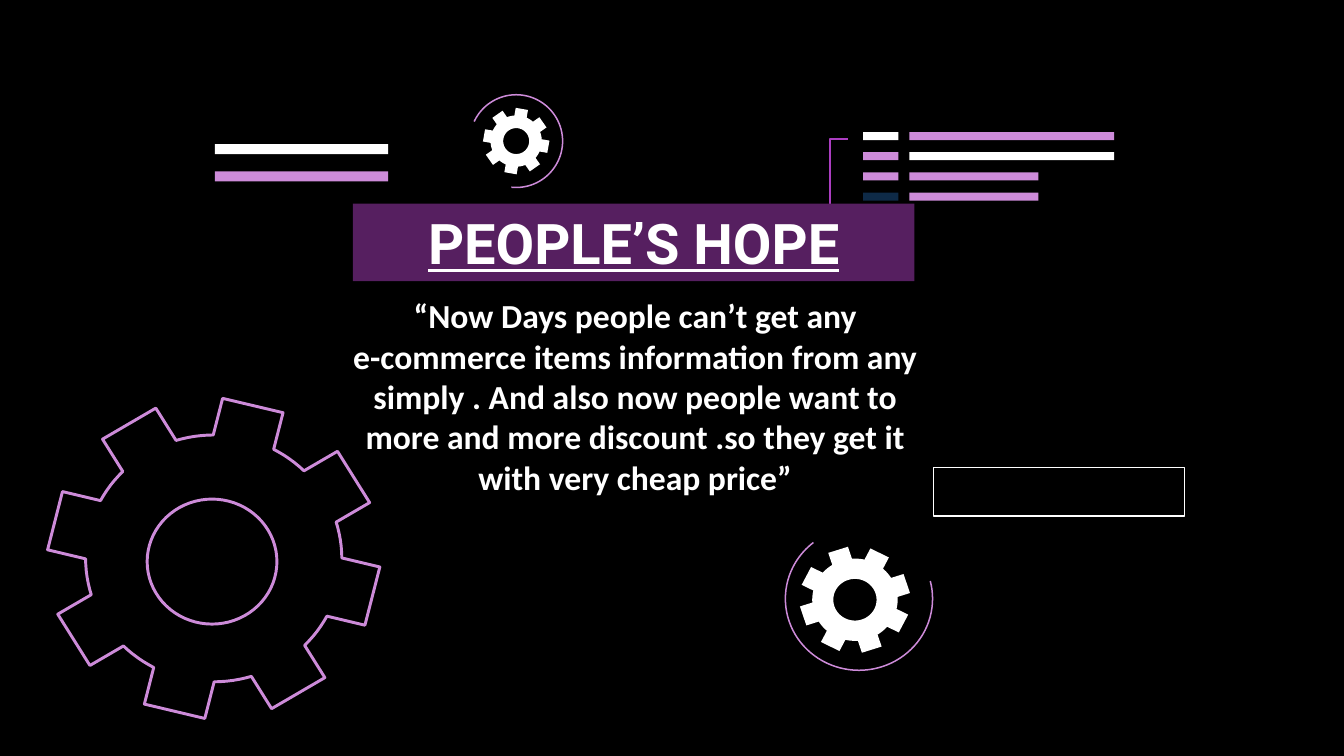
from math import cos, hypot, radians, sin, sqrt

from pptx import Presentation
from pptx.dml.color import RGBColor
from pptx.enum.shapes import MSO_SHAPE as Preset
from pptx.enum.text import MSO_ANCHOR as Anchor
from pptx.enum.text import MSO_AUTO_SIZE as AutoSize
from pptx.enum.text import PP_ALIGN as Align
from pptx.util import Inches, Pt

COLORS = {
    "background": "000000",
    "white": "FFFFFF",
    "lilac": "CD8BD9",
    "violet": "AC3EC1",
    "plum": "561F60",
    "navy": "0E2A47",
}
TEETH = 8
THIN = 1.09


def color(name):
    return RGBColor.from_string(COLORS[name])


def paint(shape, fill=None, line=None, width=THIN):
    shape.shadow.inherit = False
    if fill:
        shape.fill.solid()
        shape.fill.fore_color.rgb = color(fill)
    else:
        shape.fill.background()
    if line:
        shape.line.color.rgb = color(line)
        shape.line.width = Pt(width)
    else:
        shape.line.fill.background()


def add_rectangle(slide, left, top, width, height, fill=None, line=None):
    shape = slide.shapes.add_shape(
        Preset.RECTANGLE, Inches(left), Inches(top), Inches(width), Inches(height))
    paint(shape, fill, line)
    return shape


def add_arc(slide, center, radii, start, end):
    """Draw clockwise from start to end, both in degrees."""
    (x, y), (rx, ry) = center, radii
    shape = slide.shapes.add_shape(
        Preset.ARC, Inches(x - rx), Inches(y - ry), Inches(2 * rx), Inches(2 * ry))
    shape.adjustments[0] = start * 0.6
    shape.adjustments[1] = end * 0.6
    paint(shape, line="lilac")


def add_outline(slide, contours, closed=True):
    first, *others = contours
    builder = slide.shapes.build_freeform(
        Inches(first[0][0]), Inches(first[0][1]))
    builder.add_line_segments([(Inches(x), Inches(y)) for x, y in first[1:]], close=closed)
    for contour in others:
        builder.move_to(Inches(contour[0][0]), Inches(contour[0][1]))
        builder.add_line_segments([(Inches(x), Inches(y)) for x, y in contour[1:]])
    return builder.convert_to_shape()


def turned(point, angle):
    x, y = point
    c, s = cos(radians(angle)), sin(radians(angle))
    return x * c - y * s, x * s + y * c


def gear_rim(angle, root=0.77, half_tooth=0.187):
    """Outline of a gear whose tooth corners lie on the unit circle."""
    tip_depth = sqrt(1 - half_tooth ** 2)
    root_depth = sqrt(root ** 2 - half_tooth ** 2)
    tooth = [(root_depth, -half_tooth), (tip_depth, -half_tooth),
             (tip_depth, half_tooth), (root_depth, half_tooth)]
    step = 360 / TEETH
    rim = []
    for index in range(TEETH):
        rim += [turned(point, angle + index * step) for point in tooth]
        # Short arc along the root circle to the next tooth
        rim += [turned((root, 0), angle + (index + 0.5) * step + offset)
                for offset in (-6, -3, 0, 3, 6)]
    return rim


def add_gear(slide, center, radii, angle, hole=0.39, hole_shift=(0, 0), **style):
    circle = [turned((hole, 0), -degrees) for degrees in range(0, 360, 5)]
    shifted = [(x + hole_shift[0], y + hole_shift[1]) for x, y in circle]
    contours = [
        [(center[0] + x * radii[0], center[1] + y * radii[1]) for x, y in contour]
        for contour in (gear_rim(angle), shifted)]
    paint(add_outline(slide, contours), **style)


def add_text(paragraph, text, font_name, size, underline=None):
    paragraph.alignment = Align.CENTER
    run = paragraph.add_run()
    run.text = text
    run.font.name = font_name
    run.font.size = Pt(size)
    run.font.bold = True
    run.font.underline = underline
    run.font.color.rgb = color("white")


def add_quote(slide, left, top, width, height, lines):
    box = slide.shapes.add_textbox(
        Inches(left), Inches(top), Inches(width), Inches(height))
    frame = box.text_frame
    frame.word_wrap = True
    frame.vertical_anchor = Anchor.TOP
    frame.margin_left = frame.margin_right = Inches(0.1)
    frame.margin_top = frame.margin_bottom = Inches(0.1)
    for index, line in enumerate(lines):
        paragraph = frame.add_paragraph() if index else frame.paragraphs[0]
        add_text(paragraph, line, "Calibri", 24)


def add_title(slide, left, top, width, height, text):
    frame = add_rectangle(slide, left, top, width, height, "plum").text_frame
    frame.word_wrap = True
    frame.auto_size = AutoSize.SHAPE_TO_FIT_TEXT
    add_text(frame.paragraphs[0], text, "Roboto", 40, underline=True)


def main():
    presentation = Presentation()
    presentation.slide_width = Inches(13.33)
    presentation.slide_height = Inches(7.5)
    slide = presentation.slides.add_slide(presentation.slide_layouts[6])
    slide.background.fill.solid()
    slide.background.fill.fore_color.rgb = color("background")

    # Arcs around the white gears
    add_arc(slide, (5.12, 1.4), (0.46, 0.46), 205, 96)
    add_arc(slide, (8.52, 5.94), (0.73, 0.71), 346, 231)

    # Gears
    add_gear(slide, (2.12, 5.54), (1.65, 1.59), 13.85,
             hole_shift=(-0.01, 0.02), line="lilac", width=2.1)
    add_gear(slide, (8.48, 5.95), (0.55, 0.53), 27, fill="white")
    add_gear(slide, (5.12, 1.4), (0.33, 0.33), 10, fill="white")

    # List of short and long bars
    bar_rows = [("white", "lilac", 2.03), ("lilac", "white", 2.03),
                ("lilac", "lilac", 1.28), ("navy", "lilac", 1.28)]
    for index, (marker, bar, width) in enumerate(bar_rows):
        top = 1.31 + 0.2 * index
        add_rectangle(slide, 8.56, top, 0.35, 0.08, marker)
        add_rectangle(slide, 9.02, top, width, 0.08, bar)

    # Bracket beside the list
    bracket = [(8.41, 2.07), (8.23, 2.07), (8.23, 1.38), (8.41, 1.38)]
    paint(add_outline(slide, [bracket], closed=False), line="violet")

    # Pair of bars and empty frame
    for top, fill in ((1.43, "white"), (1.7, "lilac")):
        add_rectangle(slide, 2.13, top, 1.72, 0.1, fill)
    add_rectangle(slide, 9.26, 4.64, 2.49, 0.48, line="white")

    # Quote and title
    add_quote(slide, 3.38, 2.83, 5.84, 2.36, [
        "“Now Days people can’t get any",
        "e-commerce items information from any simply . And also now people "
        "want to more and more discount .so they get it with very cheap price”",
    ])
    add_title(slide, 3.5, 2.02, 5.57, 0.77, "PEOPLE’S HOPE")

    presentation.save("out.pptx")


if __name__ == "__main__":
    main()
